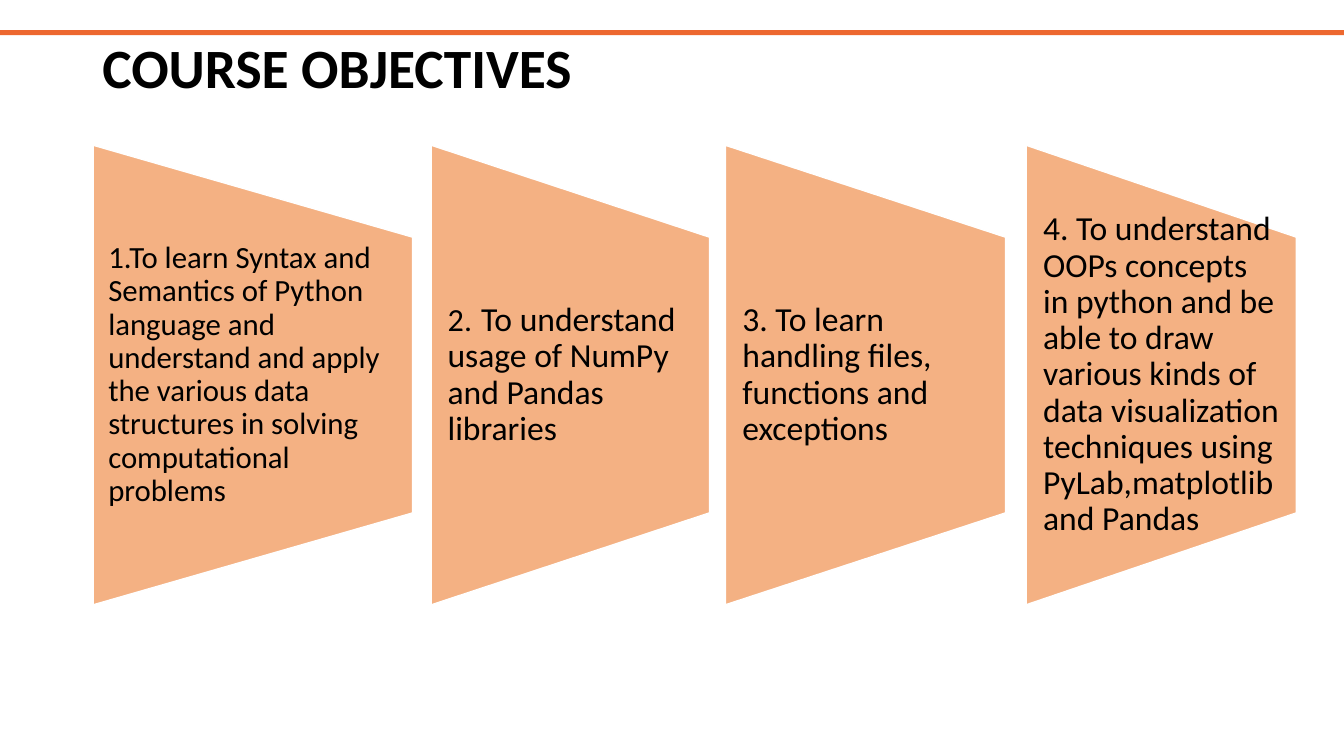
"""Build the course objectives slide with four tapering panels."""
from dataclasses import dataclass

from pptx import Presentation
from pptx.dml.color import RGBColor
from pptx.enum.shapes import MSO_SHAPE
from pptx.enum.text import MSO_ANCHOR
from pptx.util import Cm, Pt

COLORS = {"rule": "ED682F", "panel": "F4B183", "edge": "FFFFFF", "text": "000000"}
PANEL_MIDDLE = 9.45
PANEL_HEIGHT = 11.58
TEXT_HEIGHT = 6.95


@dataclass
class Span:
    text: str
    size: float = 24
    name: str = "Calibri"
    bold: bool = False


@dataclass
class Panel:
    left: float
    width: float
    inset: float
    spans: list[Span]


PANELS = [
    Panel(2.35, 8.05, 0.38, [Span(
        "1.To learn Syntax and Semantics of Python language and understand and apply "
        "the various data structures in solving computational problems", 22)]),
    Panel(10.87, 7.01, 0.41, [
        Span("2", 23), Span(". ", name="Roboto"),
        Span("To understand usage of NumPy and Pandas libraries")]),
    Panel(18.28, 7.06, 0.43, [Span("3. To learn handling files, functions and exceptions")]),
    Panel(25.86, 6.81, 0.43, [Span(
        "4. To understand OOPs concepts in python and be able to draw various kinds of "
        "data visualization techniques using PyLab,matplotlib and Pandas")]),
]


def color(key: str) -> RGBColor:
    """Return the named colour."""
    return RGBColor.from_string(COLORS[key])


def add_block(page, kind: MSO_SHAPE, left: float, top: float,
              width: float, height: float, fill: str):
    """Add a flat filled shape without an outline."""
    block = page.shapes.add_shape(kind, Cm(left), Cm(top), Cm(width), Cm(height))
    block.shadow.inherit = False
    block.fill.solid()
    block.fill.fore_color.rgb = color(fill)
    block.line.fill.background()
    return block


def add_text(page, left: float, top: float, width: float, height: float,
             inset: float, spans: list[Span]) -> None:
    """Add a vertically centred text box holding one paragraph."""
    box = page.shapes.add_textbox(Cm(left), Cm(top), Cm(width), Cm(height))
    frame_format = {
        "word_wrap": True, "vertical_anchor": MSO_ANCHOR.MIDDLE,
        "margin_left": Cm(inset), "margin_right": Cm(inset),
        "margin_top": 0, "margin_bottom": 0,
    }
    for attribute, value in frame_format.items():
        setattr(box.text_frame, attribute, value)
    para = box.text_frame.paragraphs[0]
    para.line_spacing = 0.9
    for span in spans:
        run = para.add_run()
        run.text = span.text
        font_format = {"name": span.name, "size": Pt(span.size), "bold": span.bold}
        for attribute, value in font_format.items():
            setattr(run.font, attribute, value)
        run.font.color.rgb = color("text")


def add_panel(page, panel: Panel) -> None:
    """Add a trapezoid turned on its side, with its objective on top."""
    left = panel.left + (panel.width - PANEL_HEIGHT) / 2
    shape = add_block(page, MSO_SHAPE.FLOWCHART_MANUAL_OPERATION, left,
                      PANEL_MIDDLE - panel.width / 2, PANEL_HEIGHT, panel.width, "panel")
    shape.rotation = 270
    shape.line.color.rgb = color("edge")
    shape.line.width = Pt(1)
    add_text(page, panel.left, PANEL_MIDDLE - TEXT_HEIGHT / 2, panel.width,
             TEXT_HEIGHT, panel.inset, panel.spans)


def main() -> None:
    """Build and save the deck."""
    deck = Presentation()
    deck.slide_width, deck.slide_height = Cm(33.87), Cm(19.05)
    page = deck.slides.add_slide(deck.slide_layouts[6])
    add_block(page, MSO_SHAPE.RECTANGLE, 0, 0.76, 33.87, 0.13, "rule")
    add_text(page, 2.33, 1.0, 29.21, 1.55, 0.25,
             [Span("COURSE OBJECTIVES", 39.6, bold=True)])
    for panel in PANELS:
        add_panel(page, panel)
    deck.save("out.pptx")


if __name__ == "__main__":
    main()
